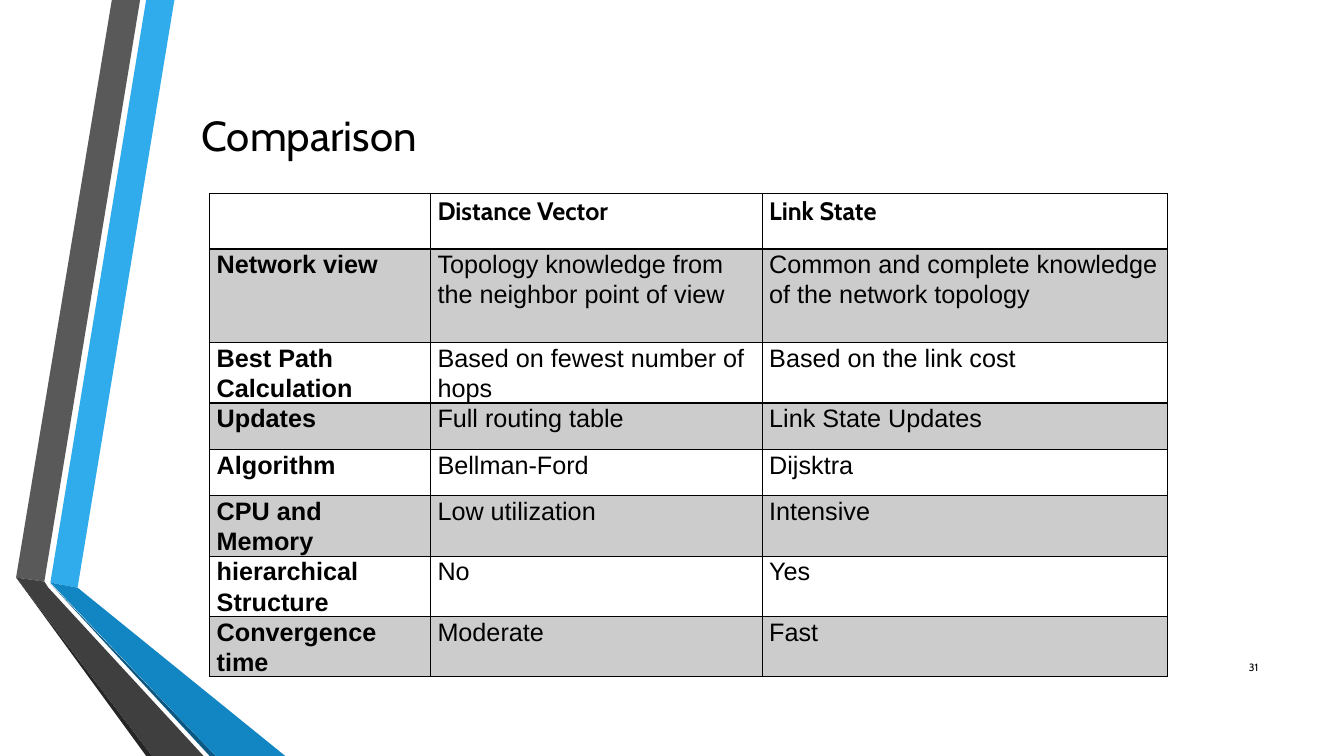
from dataclasses import dataclass

from lxml.etree import SubElement
from pptx import Presentation
from pptx.dml.color import RGBColor
from pptx.enum.text import MSO_ANCHOR, MSO_AUTO_SIZE, PP_ALIGN
from pptx.oxml.ns import qn
from pptx.slide import Slide
from pptx.table import _Cell
from pptx.text.text import TextFrame
from pptx.util import Emu, Pt

PX = 9144  # 100 px to the inch
TITLE_ONLY = 5

COLORS = {
    "text": "000000",
    "border": "000000",
    "band": "CCCCCC",
    "blue": "30ACEC",
    "blue_fold": "1186C3",
    "blue_edge": "0B5982",
    "gray": "595959",
    "gray_fold": "3F3F3F",
    "gray_edge": "262626",
}


@dataclass(frozen=True)
class Ribbon:
    color: str
    points: tuple[tuple[int, int], ...]


@dataclass(frozen=True)
class Aspect:
    name: str
    distance_vector: str
    link_state: str
    height: int = 46


RIBBONS = (
    Ribbon("blue", ((50, 578), (77, 583), (173, 0), (145, 0))),
    Ribbon("gray", ((139, 0), (111, 0), (16, 573), (44, 577))),
    Ribbon("gray_edge", ((16, 573), (145, 750), (151, 750))),
    Ribbon("blue_edge", ((50, 579), (208, 750), (214, 750))),
    Ribbon("blue_fold", ((50, 578), (214, 750), (283, 750), (77, 583))),
    Ribbon("gray_fold", ((202, 750), (48, 583), (44, 577), (16, 573), (151, 750))),
)

COLUMN_WIDTHS = (219, 329, 402)
ASPECTS = (
    Aspect("", "Distance Vector", "Link State", 55),
    Aspect(
        "Network view",
        "Topology knowledge from the neighbor point of view",
        "Common and complete knowledge of the network topology",
        93,
    ),
    Aspect("Best Path Calculation", "Based on fewest number of hops", "Based on the link cost"),
    Aspect("Updates", "Full routing table", "Link State Updates"),
    Aspect("Algorithm", "Bellman-Ford", "Dijsktra"),
    Aspect("CPU and Memory", "Low utilization", "Intensive"),
    Aspect("hierarchical Structure", "No", "Yes"),
    Aspect("Convergence time", "Moderate", "Fast"),
)


def px(length: int) -> Emu:
    return Emu(length * PX)


def rgb(name: str) -> RGBColor:
    return RGBColor.from_string(COLORS[name])


def write(frame: TextFrame, text: str, size: float, font_name: str = "Cabin",
          bold: bool = False, align: PP_ALIGN = PP_ALIGN.LEFT) -> None:
    frame.text = text
    paragraph = frame.paragraphs[0]
    paragraph.alignment = align
    font = paragraph.font
    font.name, font.size, font.bold = font_name, Pt(size), bold
    font.color.rgb = rgb("text")


def draw_ribbon(slide: Slide, ribbon: Ribbon) -> None:
    start, *others = ribbon.points
    builder = slide.shapes.build_freeform(*start, scale=PX)
    builder.add_line_segments(others, close=True)
    shape = builder.convert_to_shape()
    shape.shadow.inherit = False
    shape.fill.solid()
    shape.fill.fore_color.rgb = rgb(ribbon.color)
    shape.line.fill.background()


def set_borders(cell: _Cell, top: int, bottom: int) -> None:
    """Line the cell on all sides, with top and bottom widths in points."""
    properties = cell._tc.get_or_add_tcPr()
    sides = {"a:lnL": 1, "a:lnR": 1, "a:lnT": top, "a:lnB": bottom}
    for position, (tag, width) in enumerate(sides.items()):
        line = SubElement(properties, qn(tag), w=str(Pt(width)))
        fill = SubElement(line, qn("a:solidFill"))
        SubElement(fill, qn("a:srgbClr"), val=COLORS["border"])
        properties.insert(position, line)


def fill_cell(cell: _Cell, text: str, row: int, column: int) -> None:
    cell.margin_left = cell.margin_right = px(7)
    cell.margin_top = cell.margin_bottom = 0
    is_header = row == 0
    write(cell.text_frame, text, 18, "Cabin" if is_header else "Arial",
          bold=is_header or column == 0)
    cell.text_frame.paragraphs[0].line_spacing = 1.07
    if row % 2:
        cell.fill.solid()
        cell.fill.fore_color.rgb = rgb("band")
    else:
        cell.fill.background()
    set_borders(cell, top=2 if row == 1 else 1, bottom=2 if is_header else 1)


def add_comparison(slide: Slide) -> None:
    height = sum(aspect.height for aspect in ASPECTS)
    table = slide.shapes.add_table(
        len(ASPECTS), len(COLUMN_WIDTHS),
        px(208), px(192), px(sum(COLUMN_WIDTHS)), px(height),
    ).table
    table.first_row = table.horz_banding = False
    for column, width in zip(table.columns, COLUMN_WIDTHS):
        column.width = px(width)
    for row, aspect in enumerate(ASPECTS):
        table.rows[row].height = px(aspect.height)
        texts = (aspect.name, aspect.distance_vector, aspect.link_state)
        for column, text in enumerate(texts):
            fill_cell(table.cell(row, column), text, row, column)


def add_title(slide: Slide) -> None:
    title = slide.shapes.title
    title.left, title.top, title.width, title.height = map(px, (190, 75, 1096, 117))
    write(title.text_frame, "Comparison", 30)
    title.text_frame.vertical_anchor = MSO_ANCHOR.MIDDLE
    title.text_frame.auto_size = MSO_AUTO_SIZE.NONE


def add_page_number(slide: Slide) -> None:
    frame = slide.shapes.add_textbox(px(1198), px(642), px(60), px(40)).text_frame
    frame.word_wrap = True
    frame.vertical_anchor = MSO_ANCHOR.MIDDLE
    write(frame, "31", 7.5, align=PP_ALIGN.RIGHT)


def main() -> None:
    deck = Presentation()
    deck.slide_width, deck.slide_height = px(1333), px(750)
    slide = deck.slides.add_slide(deck.slide_layouts[TITLE_ONLY])
    for ribbon in RIBBONS:
        draw_ribbon(slide, ribbon)
    add_title(slide)
    add_comparison(slide)
    add_page_number(slide)
    deck.save("out.pptx")


if __name__ == "__main__":
    main()
